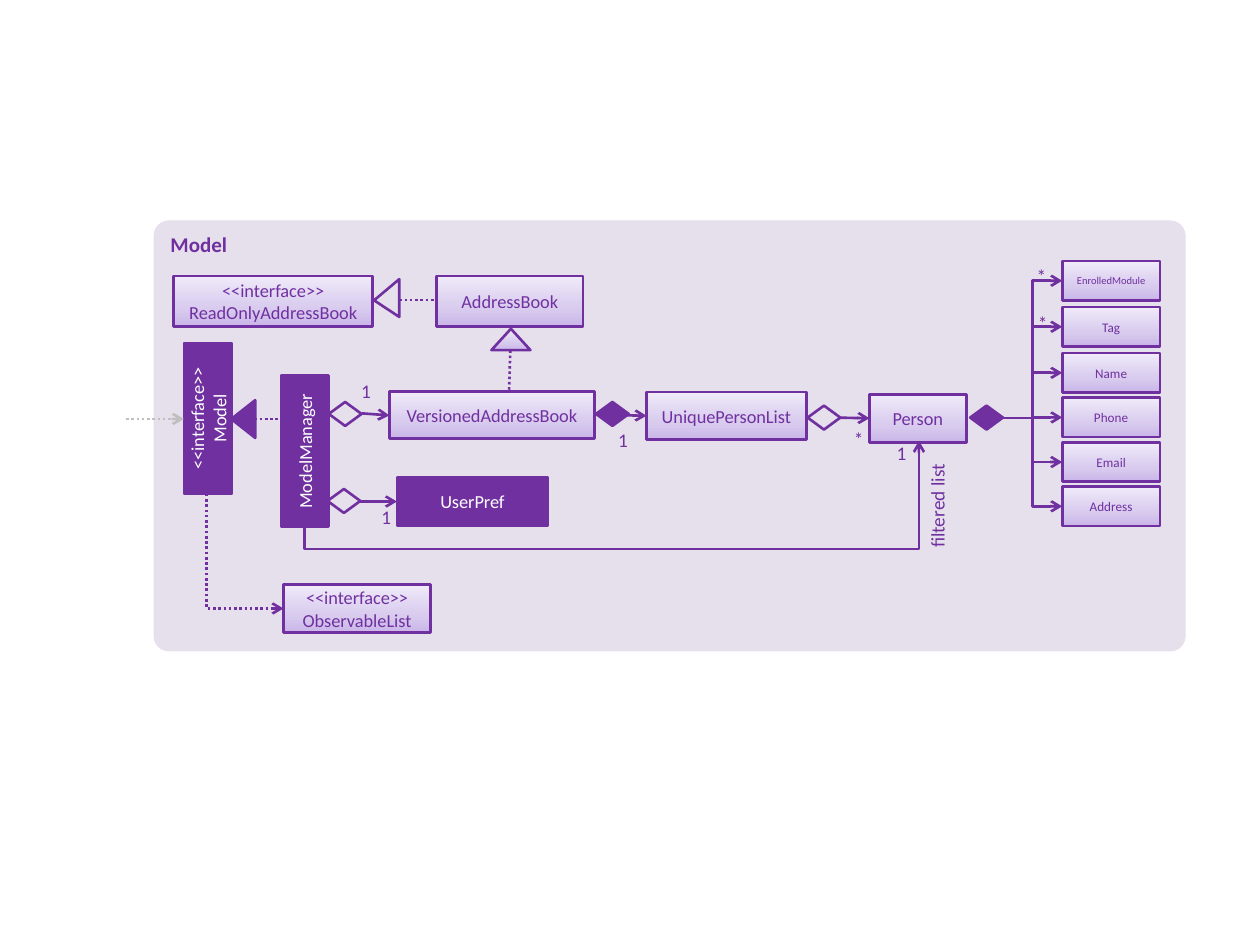
from copy import deepcopy
from dataclasses import dataclass

from lxml.etree import SubElement
from pptx import Presentation
from pptx.dml.color import RGBColor
from pptx.enum.dml import MSO_LINE
from pptx.enum.shapes import MSO_CONNECTOR, MSO_SHAPE
from pptx.enum.text import MSO_ANCHOR, PP_ALIGN
from pptx.oxml.ns import qn
from pptx.util import Pt


@dataclass(frozen=True)
class Theme:
    font: str = "Calibri"
    purple: str = "7030A0"
    panel: str = "E6E0EC"
    white: str = "FFFFFF"
    grey: str = "BFBFBF"
    gradient: tuple = ((0, "C9B5E8"), (0.35, "D8CBEE"), (1, "F0EAF9"))
    title: float = 12
    label: float = 11
    body: float = 10.5
    small: float = 7.5
    tiny: float = 6
    stroke: float = 1.5


THEME = Theme()
SOLID, HOLLOW, SHADED = THEME.purple, None, THEME.gradient

# All places are (left, top, width, height) in points, before rotation.
PANEL = ("Model", (87.8, 126, 589.7, 246.2))
CLASSES = [  # text, place, fill, rotation
    ("UserPref", (226.8, 272.9, 86.4, 27.4), SOLID, 0),
    ("ModelManager", (131, 244.1, 86.4, 27.4), SOLID, 270),
    ("<<interface>>\nModel", (75.6, 225.4, 86.4, 27.4), SOLID, 270),
    ("VersionedAddressBook", (222.5, 223.9, 117.4, 26.6), SHADED, 0),
    ("UniquePersonList", (369.4, 223.9, 91.4, 27.4), SHADED, 0),
    ("Person", (496.8, 225.4, 55.4, 27.4), SHADED, 0),
    ("<<interface>>\vReadOnlyAddressBook", (99.2, 157.7, 113.8, 28.8), SHADED, 0),
    ("<<interface>>\vObservableList", (162, 334.1, 84.2, 27.4), SHADED, 0),
    ("AddressBook", (249.6, 157.7, 83.5, 28.8), SHADED, 0),
]
FIELDS = [  # text, top, type size
    ("EnrolledModule", 149.2, THEME.tiny),
    ("Tag", 175.5, THEME.small),
    ("Name", 201.8, THEME.small),
    ("Phone", 227.3, THEME.small),
    ("Email", 252.8, THEME.small),
    ("Address", 278.1, THEME.small),
]
FIELD_LEFT, FIELD_WIDTH, FIELD_HEIGHT = 607, 55.8, 22.5
FIELDS_START = (573.1, 239)

DIAMOND_SIZE = (18.7, 13.7)
DIAMONDS = [  # left, top, fill
    (187.2, 279.4, HOLLOW),
    (187.9, 229.7, HOLLOW),
    (340.6, 229.7, SOLID),
    (461.5, 231.8, HOLLOW),
    (554.4, 231.8, SOLID),
]
TRIANGLES = [  # place, fill, rotation, apex
    ((128.2, 232.6, 21.6, 13.7), SOLID, 270, 0.5),
    ((280.8, 187.9, 22.3, 12.2), SHADED, 0, 0.5),
    ((210.2, 163.1, 21.6, 14.4), THEME.panel, 270, 0.44),
]
LINES = [  # start, end, dotted, arrow, colour
    ((205.2, 286.6), (226.8, 286.6), False, True, THEME.purple),
    ((72, 239.4), (105.1, 239.4), True, True, THEME.grey),
    ((145.4, 239.4), (162.7, 239.4), True, False, THEME.purple),
    ((206.6, 236.2), (222.5, 237.4), False, True, THEME.purple),
    ((340.6, 236.9), (369.4, 237.6), False, True, THEME.purple),
    ((480.2, 238.7), (496.8, 239), False, True, THEME.purple),
    ((291.6, 200.2), (290.9, 223.2), True, False, THEME.purple),
    ((228.2, 171.4), (249.8, 171.4), True, False, THEME.purple),
]
TURNED_ELBOWS = [  # place, rotation, flips, preset, bend, dotted
    ((325.3, 100.7, 48.6, 351.1), 90, ("flipH", "flipV"), "bentConnector3", -0.27, False),
    ((107.3, 293, 65.5, 43.9), 270, ("flipH",), "bentConnector2", None, True),
]
COUNT_SIZE = (15.1, 14.4)
COUNTS = [  # text, left, top
    ("1", 348.5, 244.8),
    ("*", 483.1, 244.1),
    ("1", 201.6, 216.7),
    ("1", 213.1, 288.7),
    ("1", 507.6, 252),
    ("*", 588.2, 177.8),
    ("*", 587.5, 151.2),
]
FILTER_LABEL = ("filtered list", (501.1, 282.2, 69.1, 20.9))


def points(place):
    return [Pt(length) for length in place]


def paint(shape, fill):
    """Fill with nothing, one colour, or gradient stops that run upwards."""
    if fill is None:
        shape.fill.background()
    elif isinstance(fill, str):
        shape.fill.solid()
        shape.fill.fore_color.rgb = RGBColor.from_string(fill)
    else:
        shape.fill.gradient()
        shape.fill.gradient_angle = 90
        stop_list = shape._element.spPr.find(qn("a:gradFill")).find(qn("a:gsLst"))
        while len(stop_list) < len(fill):
            stop_list.append(deepcopy(stop_list[0]))
        for stop, (position, colour) in zip(shape.fill.gradient_stops, fill):
            stop.position = position
            stop.color.rgb = RGBColor.from_string(colour)


def stroke(line, colour=THEME.purple):
    line.color.rgb = RGBColor.from_string(colour)
    line.width = Pt(THEME.stroke)


def write(shape, text, size, colour=THEME.purple, align=PP_ALIGN.CENTER,
          anchor=MSO_ANCHOR.MIDDLE, bold=False):
    frame = shape.text_frame
    frame.word_wrap = True
    frame.vertical_anchor = anchor
    frame.text = text
    for paragraph in frame.paragraphs:
        paragraph.alignment = align
        for run in paragraph.runs:
            run.font.name = THEME.font
            run.font.size = Pt(size)
            run.font.bold = bold
            run.font.color.rgb = RGBColor.from_string(colour)


def add_figure(slide, kind, place, fill, rotation=0):
    figure = slide.shapes.add_shape(kind, *points(place))
    figure.shadow.inherit = False
    figure.rotation = rotation
    paint(figure, fill)
    stroke(figure.line)
    return figure


def add_class(slide, text, place, fill, rotation=0, size=THEME.body):
    box = add_figure(slide, MSO_SHAPE.RECTANGLE, place, fill, rotation)
    write(box, text, size, THEME.white if fill == SOLID else THEME.purple)


def add_line(slide, start, end, dotted=False, arrow=True, colour=THEME.purple,
             kind=MSO_CONNECTOR.STRAIGHT):
    connector = slide.shapes.add_connector(kind, *points(start + end))
    stroke(connector.line, colour)
    if dotted:
        connector.line.dash_style = MSO_LINE.ROUND_DOT
    properties = connector._element.spPr
    if arrow:
        SubElement(properties.find(qn("a:ln")), qn("a:tailEnd"), type="arrow")
    SubElement(properties, qn("a:effectLst"))
    return connector


def add_turned_elbow(slide, place, rotation, flips, preset, bend, dotted):
    left, top, width, height = place
    elbow = add_line(slide, (left, top), (left + width, top + height), dotted,
                     kind=MSO_CONNECTOR.ELBOW)
    properties = elbow._element.spPr
    frame = properties.find(qn("a:xfrm"))
    frame.set("rot", str(rotation * 60000))
    for flip in flips:
        frame.set(flip, "1")
    geometry = properties.find(qn("a:prstGeom"))
    geometry.set("prst", preset)
    if bend is not None:
        SubElement(geometry.find(qn("a:avLst")), qn("a:gd"), name="adj1",
                   fmla=f"val {round(bend * 100000)}")


def add_count(slide, text, left, top):
    count = slide.shapes.add_textbox(*points((left, top) + COUNT_SIZE))
    frame = count.text_frame
    frame.margin_left = frame.margin_right = frame.margin_top = frame.margin_bottom = 0
    write(count, text, THEME.label, anchor=MSO_ANCHOR.TOP)


def main():
    deck = Presentation()
    deck.slide_width, deck.slide_height = Pt(720), Pt(540)
    slide = deck.slides.add_slide(deck.slide_layouts[6])

    title, place = PANEL
    panel = add_figure(slide, MSO_SHAPE.ROUNDED_RECTANGLE, place, THEME.panel)
    panel.adjustments[0] = 0.035
    panel.line.fill.background()
    write(panel, title, THEME.title, align=PP_ALIGN.LEFT, anchor=MSO_ANCHOR.TOP, bold=True)

    for entry in CLASSES:
        add_class(slide, *entry)
    for text, top, size in FIELDS:
        add_class(slide, text, (FIELD_LEFT, top, FIELD_WIDTH, FIELD_HEIGHT), SHADED, size=size)
        add_line(slide, FIELDS_START, (FIELD_LEFT, top + FIELD_HEIGHT / 2),
                 kind=MSO_CONNECTOR.ELBOW)
    for left, top, fill in DIAMONDS:
        add_figure(slide, MSO_SHAPE.FLOWCHART_DECISION, (left, top) + DIAMOND_SIZE, fill)
    for place, fill, rotation, apex in TRIANGLES:
        triangle = add_figure(slide, MSO_SHAPE.ISOSCELES_TRIANGLE, place, fill, rotation)
        triangle.adjustments[0] = apex
    for line in LINES:
        add_line(slide, *line)
    for elbow in TURNED_ELBOWS:
        add_turned_elbow(slide, *elbow)
    for count in COUNTS:
        add_count(slide, *count)

    text, place = FILTER_LABEL
    filter_label = slide.shapes.add_textbox(*points(place))
    filter_label.rotation = 270
    write(filter_label, text, THEME.label, align=PP_ALIGN.RIGHT, anchor=MSO_ANCHOR.TOP)

    deck.save("out.pptx")


if __name__ == "__main__":
    main()
